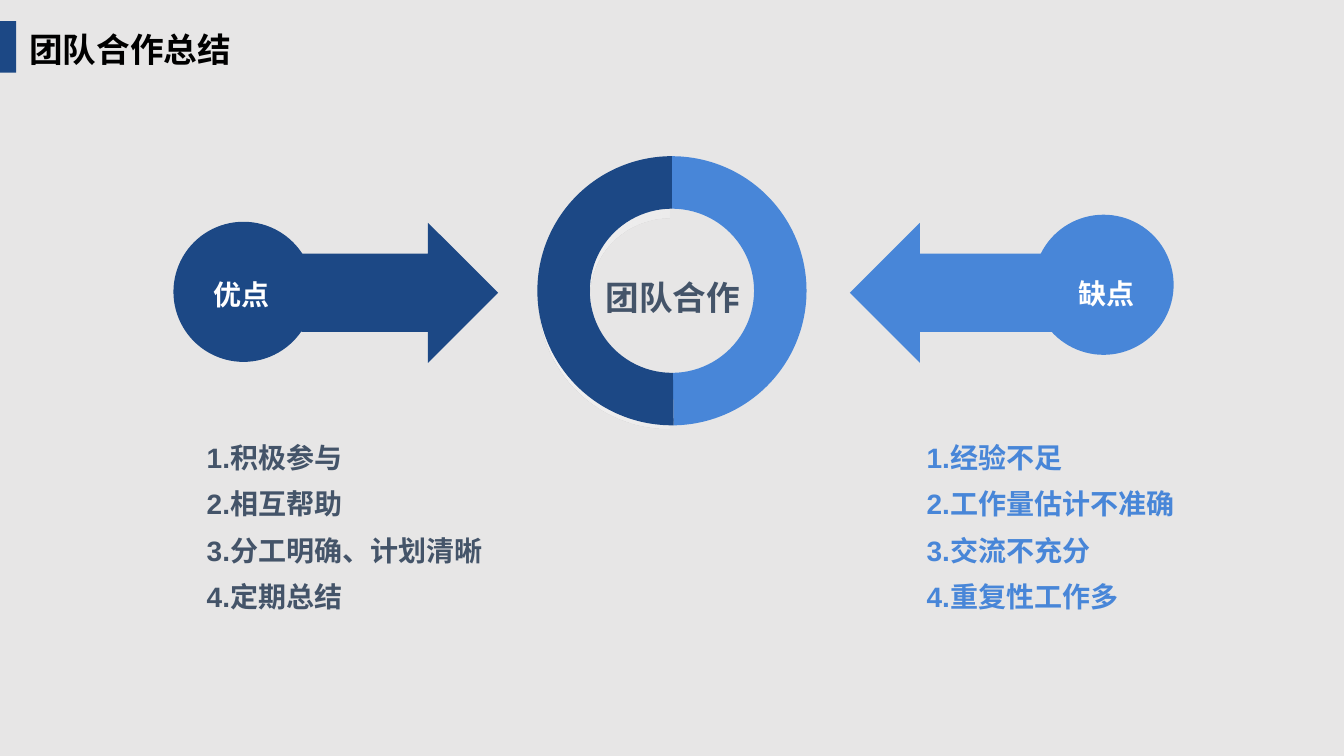
from lxml import etree
from pptx import Presentation
from pptx import util as u
from pptx.dml import color
from pptx.enum import lang, shapes, text
from pptx.oxml import ns

CJK_FONT = "Noto Sans CJK SC"
NAVY, BLUE, SLATE, WHITE = "1C4885", "4886D8", "445469", "FFFFFF"
SHAPE = shapes.MSO_SHAPE
ANCHOR = text.MSO_ANCHOR


def rgb(value):
    return color.RGBColor.from_string(value)


def inches(box):
    return [u.Inches(length) for length in box]


def add_tag(parent, tag, **attributes):
    return etree.SubElement(parent, ns.qn(tag), **attributes)


def add_preset(slide, kind, box, fill, adjustments=()):
    part = slide.shapes.add_shape(kind, *inches(box))
    part.shadow.inherit = False
    part.line.fill.background()
    part.fill.solid()
    part.fill.fore_color.rgb = rgb(fill)
    for index, value in enumerate(adjustments):
        part.adjustments[index] = value
    return part


def write(holder, lines, size, fill, latin="Arial", align=text.PP_ALIGN.LEFT,
          anchor=ANCHOR.MIDDLE, margin=0, pitch=None):
    """Fill a text holder, one plain paragraph per line; pitch is in points."""
    frame = holder.text_frame
    frame_format = {"word_wrap": True, "auto_size": text.MSO_AUTO_SIZE.NONE,
                    "vertical_anchor": anchor}
    for side in ("left", "right", "top", "bottom"):
        frame_format["margin_" + side] = u.Inches(margin)
    for name, value in frame_format.items():
        setattr(frame, name, value)

    for index, line in enumerate(lines):
        paragraph = frame.add_paragraph() if index else frame.paragraphs[0]
        properties = paragraph._p.get_or_add_pPr()
        properties.set("marL", "0")
        properties.set("indent", "0")
        add_tag(properties, "a:buNone")
        paragraph.alignment = align
        paragraph.space_before = u.Pt(0)
        if pitch:
            paragraph.line_spacing = u.Pt(pitch)
        run = paragraph.add_run()
        run.text = line
        run_format = {"size": u.Pt(size), "bold": True, "name": latin,
                      "language_id": lang.MSO_LANGUAGE_ID.SIMPLIFIED_CHINESE}
        for name, value in run_format.items():
            setattr(run.font, name, value)
        run.font.color.rgb = rgb(fill)
        add_tag(run._r.get_or_add_rPr(), "a:ea", typeface=CJK_FONT)


def place(holder, box):
    for name, value in zip(("left", "top", "width", "height"), inches(box)):
        setattr(holder, name, value)


def add_label(slide, center, caption, size, fill):
    width, height = 1.5, 0.5
    x, y = center
    box = (x - width / 2, y - height / 2, width, height)
    label = slide.shapes.add_textbox(*inches(box))
    write(label, [caption], size, fill, align=text.PP_ALIGN.CENTER)


def add_header(slide, box, heading):
    left, top, width, height = box
    add_preset(slide, SHAPE.RECTANGLE, (left, top, 0.16, height), NAVY)
    place(slide.shapes.title, (left + 0.19, top + 0.02, width, height))
    write(slide.shapes.title, [heading], 24, "000000", CJK_FONT, margin=0.1)


def fade_white(part):
    """White fill that fades out from left to right."""
    part.fill.gradient()
    part.fill.gradient_angle = 0
    stops = part._element.spPr.find(".//" + ns.qn("a:gsLst"))
    for stop in list(stops):
        stops.remove(stop)
    for position, opacity in ((0, 45), (50, 22), (100, 0)):
        stop = add_tag(stops, "a:gs", pos=str(position * 1000))
        tint = add_tag(stop, "a:srgbClr", val=WHITE)
        add_tag(tint, "a:alpha", val=str(opacity * 1000))


def add_ring(slide, box, caption):
    left, top, size, _ = box

    def half(arc_box, fill, start, end):
        # Arc angles are stored as 0.6 per degree
        return add_preset(slide, SHAPE.BLOCK_ARC, arc_box, fill,
                          (start * 0.6, end * 0.6, 0.195))

    upper_seam, lower_seam = 270, 89.3
    glow = half((left + 0.01, top + 0.11, 2.59, 2.59), WHITE, 90, 270)
    fade_white(glow)
    half(box, BLUE, upper_seam, lower_seam)
    half(box, NAVY, lower_seam, upper_seam)
    add_label(slide, (left + size / 2 + 0.01, top + 1.4), caption, 24, SLATE)


def add_side(slide, box, side):
    """Arrow with a round label, and the numbered points under it."""
    left, top, _, _ = box
    circle_x, circle_y = left + side["circle"][0], top + side["circle"][1]
    arrow_x, arrow_width = side["arrow"]
    diameter = 1.39
    add_preset(slide, side["kind"],
               (left + arrow_x, top + 0.08, arrow_width, diameter),
               side["fill"], (0.559, 0.5))
    add_preset(slide, SHAPE.OVAL, (circle_x, circle_y, diameter, diameter),
               side["fill"])
    label_x, label_y = side["label"]
    add_label(slide, (left + label_x, top + label_y), side["caption"], 20, WHITE)
    points = slide.placeholders[side["placeholder"]]
    place(points, (left + side["points_x"], top + 2.12, 3.29, 1.85))
    write(points, side["points"], 20, side["points_fill"],
          anchor=ANCHOR.TOP, pitch=32.9)


STRENGTHS = {
    "kind": SHAPE.RIGHT_ARROW, "fill": NAVY, "arrow": (1.27, 1.95),
    "circle": (0, 0.07), "label": (0.68, 0.79), "caption": "优点",
    "placeholder": 1, "points_x": 0.33, "points_fill": SLATE,
    "points": ["1.积极参与", "2.相互帮助", "3.分工明确、计划清晰", "4.定期总结"],
}
WEAKNESSES = {
    "kind": SHAPE.LEFT_ARROW, "fill": BLUE, "arrow": (0, 2.07),
    "circle": (1.82, 0), "label": (2.55, 0.78), "caption": "缺点",
    "placeholder": 2, "points_x": 0.76, "points_fill": BLUE,
    "points": ["1.经验不足", "2.工作量估计不准确", "3.交流不充分", "4.重复性工作多"],
}


def main():
    deck = Presentation()
    deck.slide_width, deck.slide_height = inches((13.33, 7.5))
    slide = deck.slides.add_slide(deck.slide_layouts.get_by_name("Two Content"))
    slide.background.fill.solid()
    slide.background.fill.fore_color.rgb = rgb("E7E6E6")
    add_header(slide, (0, 0.21, 2.89, 0.51), "团队合作总结")
    add_side(slide, (1.72, 2.13, 3.62, 3.97), STRENGTHS)
    add_side(slide, (8.43, 2.13, 4.05, 3.97), WEAKNESSES)
    add_ring(slide, (5.33, 1.55, 2.67, 2.67), "团队合作")
    deck.save("out.pptx")


if __name__ == "__main__":
    main()
